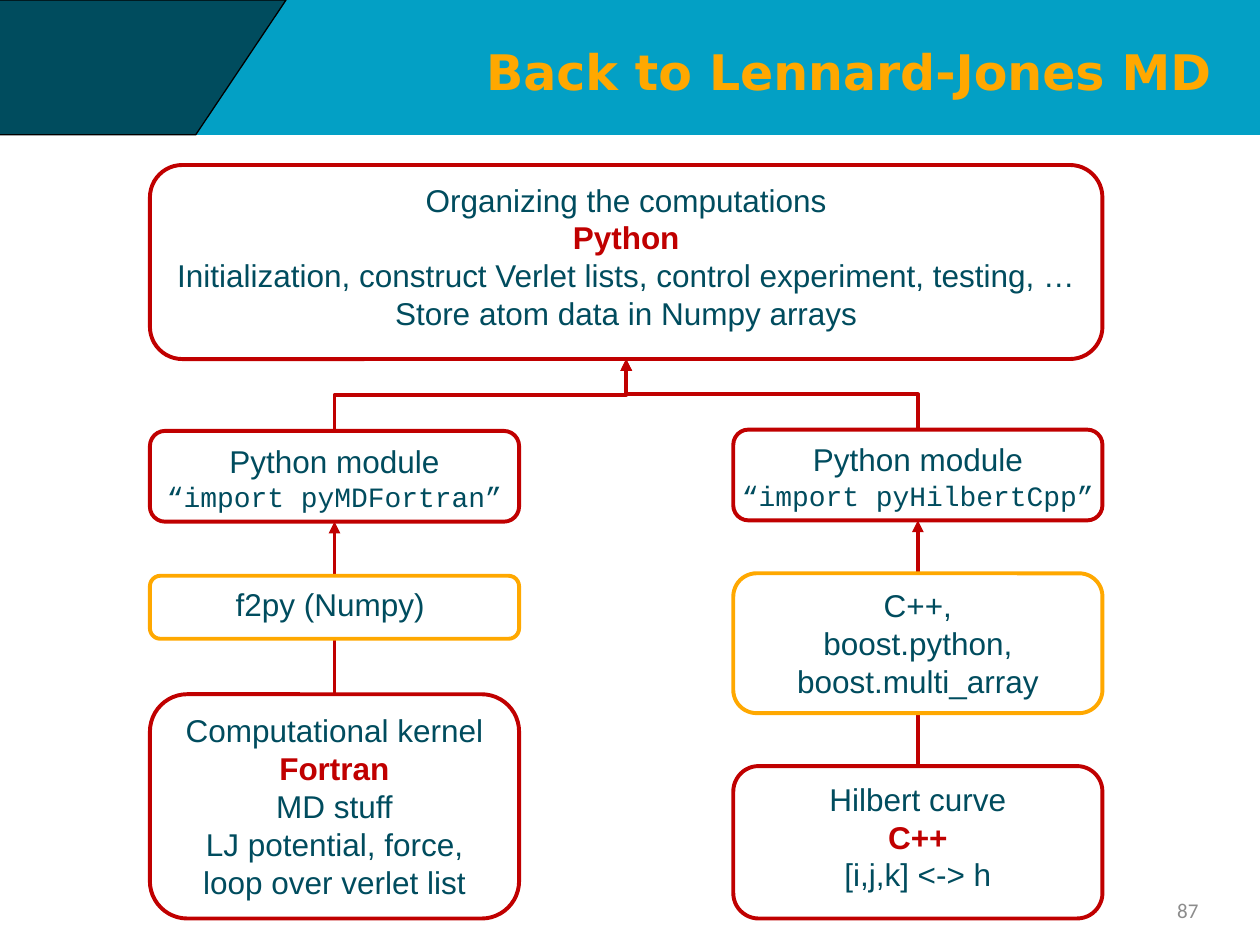
"""Build the slide on the Python, Fortran and C++ layers of the Lennard-Jones MD code."""
from collections import namedtuple

from pptx import Presentation
from pptx.dml.color import RGBColor
from pptx.enum.shapes import MSO_CONNECTOR, MSO_SHAPE
from pptx.enum.text import MSO_ANCHOR, PP_ALIGN
from pptx.oxml.ns import qn
from pptx.oxml.xmlchemy import OxmlElement
from pptx.util import Inches, Pt

WHITE = RGBColor(0xFF, 0xFF, 0xFF)
BLACK = RGBColor(0x00, 0x00, 0x00)
BLUE = RGBColor(0x03, 0xA0, 0xC5)
TEAL = RGBColor(0x00, 0x4C, 0x5E)
RED = RGBColor(0xC0, 0x00, 0x00)
ORANGE = RGBColor(0xFF, 0xA8, 0x00)
GRAY = RGBColor(0x8C, 0x8C, 0x8C)

Style = namedtuple("Style", "font size color bold")
TITLE = Style("DejaVu Sans", 28, ORANGE, True)
NUMBER = Style("Calibri", 12, GRAY, False)
BODY = Style("Arial", 18, TEAL, False)
LANGUAGE = Style("Arial", 18, RED, True)
CODE = Style("Courier New", 16, TEAL, False)

LEFT, RIGHT, COLUMN = 1.19, 5.82, 2.93
FULL = RIGHT + COLUMN - LEFT
LEFT_AXIS, RIGHT_AXIS = LEFT + COLUMN / 2, RIGHT + COLUMN / 2
MIDDLE_AXIS = (LEFT_AXIS + RIGHT_AXIS) / 2


class SlideBuilder:
    """Draw styled elements on the current slide."""

    def __init__(self, slide):
        self.shapes = slide.shapes
        self.stroke = 2.25

    def shape(self, kind, box, fill, line, width):
        shape = self.shapes.add_shape(kind, *map(Inches, box))
        shape.shadow.inherit = False
        shape.fill.solid()
        shape.fill.fore_color.rgb = fill
        shape.line.color.rgb = line
        shape.line.width = Pt(width)
        return shape

    def add_text(self, frame, paragraphs, align, anchor, inset):
        frame.word_wrap = True
        frame.vertical_anchor = anchor
        frame.margin_left = frame.margin_right = Inches(inset[0])
        frame.margin_top = frame.margin_bottom = Inches(inset[1])
        for index, runs in enumerate(paragraphs):
            paragraph = frame.paragraphs[0] if index == 0 else frame.add_paragraph()
            paragraph.alignment = align
            for text, style in runs:
                for part, piece in enumerate(text.split("\n")):
                    if part:
                        paragraph.add_line_break()
                    run = paragraph.add_run()
                    run.text = piece
                    run.font.name = style.font
                    run.font.size = Pt(style.size)
                    run.font.color.rgb = style.color
                    run.font.bold = style.bold

    def label(self, box, text, style, inset):
        label = self.shapes.add_textbox(*map(Inches, box))
        self.add_text(label.text_frame, [[(text, style)]], PP_ALIGN.RIGHT, MSO_ANCHOR.MIDDLE, inset)

    def card(self, box, paragraphs, line=RED, side=0.1):
        card = self.shape(MSO_SHAPE.ROUNDED_RECTANGLE, box, WHITE, line, self.stroke)
        self.add_text(card.text_frame, paragraphs, PP_ALIGN.CENTER, MSO_ANCHOR.TOP, (side, 0.05))

    def arrow(self, start, end, kind=MSO_CONNECTOR.STRAIGHT):
        arrow = self.shapes.add_connector(kind, *map(Inches, start + end))
        arrow.line.color.rgb = RED
        arrow.line.width = Pt(self.stroke)
        head = OxmlElement("a:tailEnd")
        head.set("type", "triangle")
        properties = arrow._element.spPr
        properties.find(qn("a:ln")).append(head)
        properties.append(OxmlElement("a:effectLst"))
        return arrow

    def rising_elbow(self, start, end):
        """Draw the elbow lying down and turn it so that it leaves upwards."""
        (x1, y1), (x2, y2) = start, end
        center_x, center_y = (x1 + x2) / 2, (y1 + y2) / 2
        rise, run = (y1 - y2) / 2, (x2 - x1) / 2
        elbow = self.arrow((center_x - rise, center_y - run),
                           (center_x + rise, center_y + run), MSO_CONNECTOR.ELBOW)
        elbow._element.spPr.find(qn("a:xfrm")).set("rot", str(270 * 60000))


def main():
    presentation = Presentation()
    presentation.slide_width, presentation.slide_height = Inches(10), Inches(7.5)
    slide = SlideBuilder(presentation.slides.add_slide(presentation.slide_layouts[6]))

    slide.shape(MSO_SHAPE.RECTANGLE, (0, 0, 10, 1.07), BLUE, BLUE, 0.75)
    corner = slide.shape(MSO_SHAPE.TRAPEZOID, (-2.26, 0, 4.53, 1.07), TEAL, BLACK, 0.75)
    corner.rotation = 180
    corner.adjustments[0] = 0.67
    slide.label((1.54, 0.22, 8.07, 0.69), "Back to Lennard-Jones MD", TITLE, (0, 0))
    slide.label((7.28, 7.02, 2.33, 0.4), "87", NUMBER, (0.1, 0.05))

    slide.card((LEFT, 5.51, COLUMN, 1.78), [
        [("Computational kernel ", BODY), ("Fortran", LANGUAGE)],
        [("MD stuff", BODY)],
        [("LJ potential, force, loop over verlet list", BODY)],
    ])
    slide.card((LEFT, 1.31, FULL, 1.54), [
        [("Organizing the computations", BODY)],
        [("Python", LANGUAGE)],
        [("Initialization, construct Verlet lists, control experiment, testing, …", BODY)],
        [("Store atom data in Numpy arrays", BODY)],
    ])
    slide.card((RIGHT, 6.08, COLUMN, 1.21), [
        [("Hilbert curve", BODY)],
        [("C++", LANGUAGE)],
        [("[i,j,k] <-> h", BODY)],
    ])
    for left, top, module, side in ((RIGHT, 3.41, "pyHilbertCpp", 0),
                                    (LEFT, 3.42, "pyMDFortran", 0.08)):
        slide.card((left, top, COLUMN, 0.72), [
            [("Python module", BODY)],
            [(f"“import {module}”", CODE)],
        ], side=side)

    for axis, module_top, kernel_top in ((LEFT_AXIS, 3.42, 5.51), (RIGHT_AXIS, 3.41, 6.08)):
        slide.rising_elbow((axis, module_top), (MIDDLE_AXIS, 2.85))
        slide.arrow((axis, kernel_top), (axis, module_top + 0.72))

    slide.card((LEFT, 4.57, COLUMN, 0.5), [[("f2py (Numpy) ", BODY)]], ORANGE)
    slide.card((RIGHT, 4.55, COLUMN, 1.11),
               [[("C++,\nboost.python, boost.multi_array", BODY)]], ORANGE)

    presentation.save("out.pptx")


if __name__ == "__main__":
    main()
